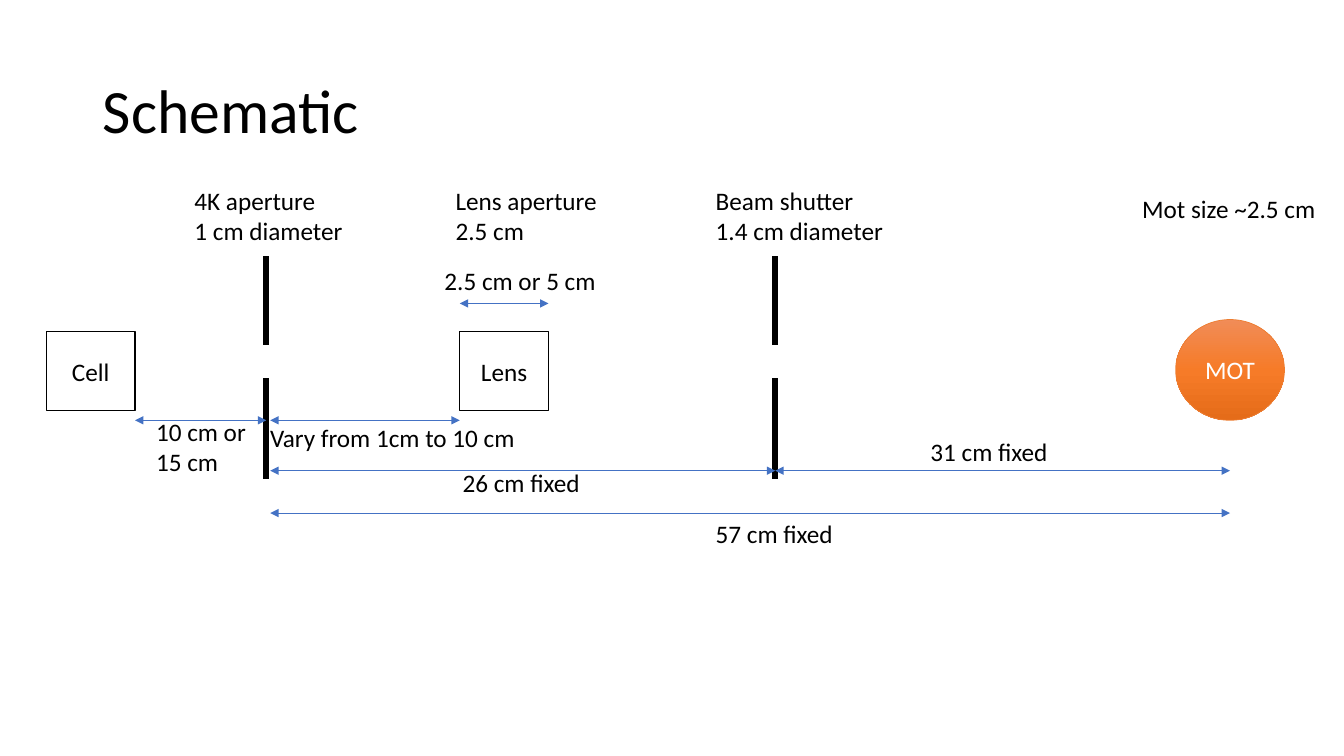
from copy import deepcopy

from lxml.etree import SubElement
from pptx import Presentation
from pptx.dml.color import RGBColor
from pptx.enum.shapes import MSO_CONNECTOR, MSO_SHAPE
from pptx.enum.text import MSO_ANCHOR, MSO_AUTO_SIZE, PP_ALIGN
from pptx.oxml.ns import qn
from pptx.util import Inches, Pt

BLACK = RGBColor(0x00, 0x00, 0x00)
WHITE = RGBColor(0xFF, 0xFF, 0xFF)
BLUE = RGBColor(0x44, 0x72, 0xC4)
ORANGE = RGBColor(0xED, 0x7D, 0x31)
GLOW = [RGBColor(0xF1, 0x8C, 0x57), RGBColor(0xF6, 0x7B, 0x28), RGBColor(0xE5, 0x6C, 0x19)]
FONT = "Calibri"

PLATE = 2.64
EDGE = 2.68
SHUTTER = 7.69
MOT = 12.2
CELL_X, LENS_X, SIDE = 0.46, 4.56, 0.88

ARROWS = [
    (CELL_X + SIDE, PLATE, 4.17),
    (EDGE, LENS_X, 4.17),
    (LENS_X, LENS_X + SIDE, 3.01),
    (EDGE, SHUTTER, 4.67),
    (SHUTTER, MOT, 4.67),
    (EDGE, MOT, 5.09),
]

LABELS = [
    (1.83, 1.79, 1.69, 0.71, "4K aperture\n1 cm diameter"),
    (4.42, 1.79, 1.62, 0.71, "Lens aperture\n2.5 cm"),
    (7, 1.79, 1.88, 0.71, "Beam shutter\n1.4 cm diameter"),
    (11.23, 1.87, 1.94, 0.4, "Mot size ~2.5 cm"),
    (4.31, 2.58, 1.72, 0.4, "2.5 cm or 5 cm"),
    (2.58, 4.14, 2.66, 0.4, "Vary from 1cm to 10 cm"),
    (4.49, 4.59, 1.38, 0.4, "26 cm fixed"),
    (9.13, 4.28, 1.38, 0.4, "31 cm fixed"),
    (7, 5.09, 1.38, 0.4, "57 cm fixed"),
]


def style(frame, color, size=18, align=PP_ALIGN.LEFT):
    """Set font, colour and alignment on every paragraph."""
    for para in frame.paragraphs:
        para.alignment = align
        para.font.name = FONT
        para.font.size = Pt(size)
        para.font.color.rgb = color


def add_title(slide, text):
    """Place and format the slide title."""
    title = slide.shapes.title
    title.left, title.top = Inches(0.92), Inches(0.4)
    title.width, title.height = Inches(11.5), Inches(1.45)
    frame = title.text_frame
    frame.text = text
    frame.auto_size = MSO_AUTO_SIZE.NONE
    frame.vertical_anchor = MSO_ANCHOR.MIDDLE
    frame.paragraphs[0].line_spacing = 0.9
    style(frame, BLACK, 44)


def add_line(slide, start, end, color, width):
    """Draw a straight line without shadow and return it."""
    line = slide.shapes.add_connector(
        MSO_CONNECTOR.STRAIGHT, *map(Inches, start), *map(Inches, end))
    line.line.color.rgb = color
    line.line.width = Pt(width)
    SubElement(line._element.spPr, qn("a:effectLst"))
    return line


def add_plate(slide, x):
    """Draw the two halves of an aperture plate."""
    for top, base in ((2.54, 3.42), (3.75, 4.75)):
        add_line(slide, (x, top), (x, base), BLACK, 4.5)


def add_arrow(slide, left, right, y):
    """Draw a level dimension arrow with two heads."""
    arrow = add_line(slide, (left, y), (right, y), BLUE, 0.5)
    stroke = arrow._element.spPr.find(qn("a:ln"))
    for tag in ("a:headEnd", "a:tailEnd"):
        SubElement(stroke, qn(tag), type="triangle")


def add_part(slide, kind, box, text, ink, edge, width):
    """Add a captioned shape and return it."""
    part = slide.shapes.add_shape(kind, *map(Inches, box))
    part.shadow.inherit = False
    part.line.color.rgb = edge
    part.line.width = Pt(width)
    frame = part.text_frame
    frame.text = text
    frame.vertical_anchor = MSO_ANCHOR.MIDDLE
    style(frame, ink, align=PP_ALIGN.CENTER)
    return part


def add_block(slide, x, text):
    """Add a white square part."""
    block = add_part(slide, MSO_SHAPE.RECTANGLE, (x, 3.29, SIDE, 0.78),
                     text, BLACK, BLACK, 1)
    block.fill.solid()
    block.fill.fore_color.rgb = WHITE


def add_cloud(slide):
    """Add the round MOT with its three-stop gradient."""
    cloud = add_part(slide, MSO_SHAPE.OVAL, (11.66, 3.17, 1.08, 1),
                     "MOT", WHITE, ORANGE, 0.5)
    fill = cloud.fill
    fill.gradient()
    fill.gradient_angle = 270
    first = next(cloud._element.spPr.iter(qn("a:gs")))
    first.addnext(deepcopy(first))
    for stop, color, place in zip(fill.gradient_stops, GLOW, (0, 0.5, 1)):
        stop.color.rgb = color
        stop.position = place


def add_label(slide, left, top, width, height, text, wrap=False):
    """Add a plain text label."""
    label = slide.shapes.add_textbox(*map(Inches, (left, top, width, height)))
    frame = label.text_frame
    frame.text = text
    frame.word_wrap = wrap
    frame.auto_size = MSO_AUTO_SIZE.SHAPE_TO_FIT_TEXT
    style(frame, BLACK)


def main():
    """Build and save the slide."""
    deck = Presentation()
    deck.slide_width, deck.slide_height = Inches(13.33), Inches(7.5)
    slide = deck.slides.add_slide(deck.slide_layouts[5])
    add_title(slide, "Schematic")
    add_block(slide, CELL_X, "Cell")
    add_block(slide, LENS_X, "Lens")
    for x in (PLATE, SHUTTER):
        add_plate(slide, x)
    add_cloud(slide)
    for arrow in ARROWS:
        add_arrow(slide, *arrow)
    add_label(slide, 1.45, 4.08, 1.1, 1.01, "10 cm or 15 cm", wrap=True)
    for label in LABELS:
        add_label(slide, *label)
    deck.save("out.pptx")


if __name__ == "__main__":
    main()
